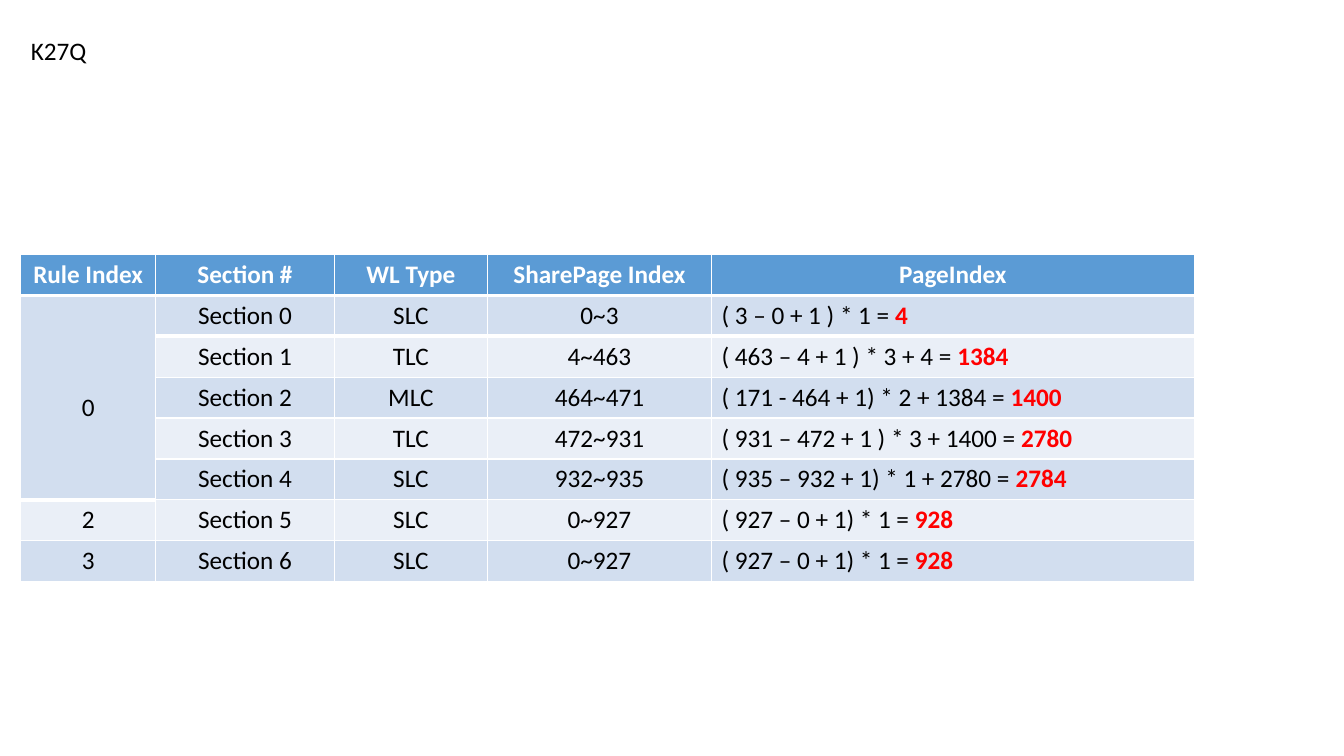
"""Build the K27Q slide with its table of page index rules."""
from lxml import etree
from pptx import Presentation
from pptx.dml.color import RGBColor
from pptx.enum import text
from pptx.oxml import ns
from pptx.util import Pt

COLORS = {"header": "5B9BD5", "odd": "D2DEEF", "even": "EAEFF7",
          "white": "FFFFFF", "black": "000000", "result": "FF0000"}
COLUMN_WIDTHS = [96.5, 127.5, 109.5, 160, 344.8]
ROW_HEIGHT = 29.2
FORMULA_COLUMN = 4
HEADERS = ["Rule Index", "Section #", "WL Type", "SharePage Index", "PageIndex"]
RULES = [
    ("0", "Section 0", "SLC", "0~3", "( 3 – 0 + 1 ) * 1 = ", "4"),
    ("", "Section 1", "TLC", "4~463", "( 463 – 4 + 1 ) * 3 + 4 = ", "1384"),
    ("", "Section 2", "MLC", "464~471", "( 171 - 464 + 1) * 2 + 1384 = ", "1400"),
    ("", "Section 3", "TLC", "472~931", "( 931 – 472 + 1 ) * 3 + 1400 = ", "2780"),
    ("", "Section 4", "SLC", "932~935", "( 935 – 932 + 1) * 1 + 2780 = ", "2784"),
    ("2", "Section 5", "SLC", "0~927", "( 927 – 0 + 1) * 1 = ", "928"),
    ("3", "Section 6", "SLC", "0~927", "( 927 – 0 + 1) * 1 = ", "928"),
]


def add_run(paragraph, content, color, bold=False):
    run = paragraph.add_run()
    run.text = content
    for name, value in {"name": "Calibri", "size": Pt(18), "bold": bold}.items():
        setattr(run.font, name, value)
    run.font.color.rgb = RGBColor.from_string(COLORS[color])


def add_border(cell, side, width):
    line = etree.Element(ns.qn(f"a:{side}"), w=str(Pt(width)))
    fill = etree.SubElement(line, ns.qn("a:solidFill"))
    etree.SubElement(fill, ns.qn("a:srgbClr"), val=COLORS["white"])
    cell._tc.get_or_add_tcPr().insert(0, line)


presentation = Presentation()
presentation.slide_width, presentation.slide_height = Pt(960), Pt(540)
slide = presentation.slides.add_slide(presentation.slide_layouts[5])

title = slide.shapes.title
title_box = {"left": Pt(14.8), "top": Pt(21.8), "width": Pt(138), "height": Pt(29)}
for name, value in title_box.items():
    setattr(title, name, value)
title_format = {"word_wrap": True, "vertical_anchor": text.MSO_ANCHOR.TOP,
                "auto_size": text.MSO_AUTO_SIZE.SHAPE_TO_FIT_TEXT}
for name, value in title_format.items():
    setattr(title.text_frame, name, value)
title_paragraph = title.text_frame.paragraphs[0]
title_paragraph.alignment = text.PP_ALIGN.LEFT
add_run(title_paragraph, "K27Q", "black")

row_count = len(RULES) + 1
table = slide.shapes.add_table(
    row_count, len(HEADERS), Pt(14.8), Pt(181.8),
    Pt(sum(COLUMN_WIDTHS)), Pt(ROW_HEIGHT * row_count)).table
for column, width in zip(table.columns, COLUMN_WIDTHS):
    column.width = Pt(width)
for row in table.rows:
    row.height = Pt(ROW_HEIGHT)

for row_index, values in enumerate([HEADERS, *RULES]):
    is_header = row_index == 0
    fill = "header" if is_header else "odd" if row_index % 2 else "even"
    for column_index in range(len(HEADERS)):
        cell = table.cell(row_index, column_index)
        cell.fill.solid()
        cell.fill.fore_color.rgb = RGBColor.from_string(COLORS[fill])
        paragraph = cell.text_frame.paragraphs[0]
        is_formula = column_index == FORMULA_COLUMN and not is_header
        paragraph.alignment = text.PP_ALIGN.LEFT if is_formula else text.PP_ALIGN.CENTER
        if values[column_index]:
            add_run(paragraph, values[column_index],
                    "white" if is_header else "black", is_header)
        if is_formula:
            add_run(paragraph, values[-1], "result", True)
        if is_header:
            add_border(cell, "lnB", 3)
        elif row_index == 1:
            add_border(cell, "lnT", 3)

rule_zero = table.cell(1, 0)
rule_zero.merge(table.cell(5, 0))
rule_zero.vertical_anchor = text.MSO_ANCHOR.MIDDLE
rule_zero.margin_top = Pt(18)

presentation.save("out.pptx")
